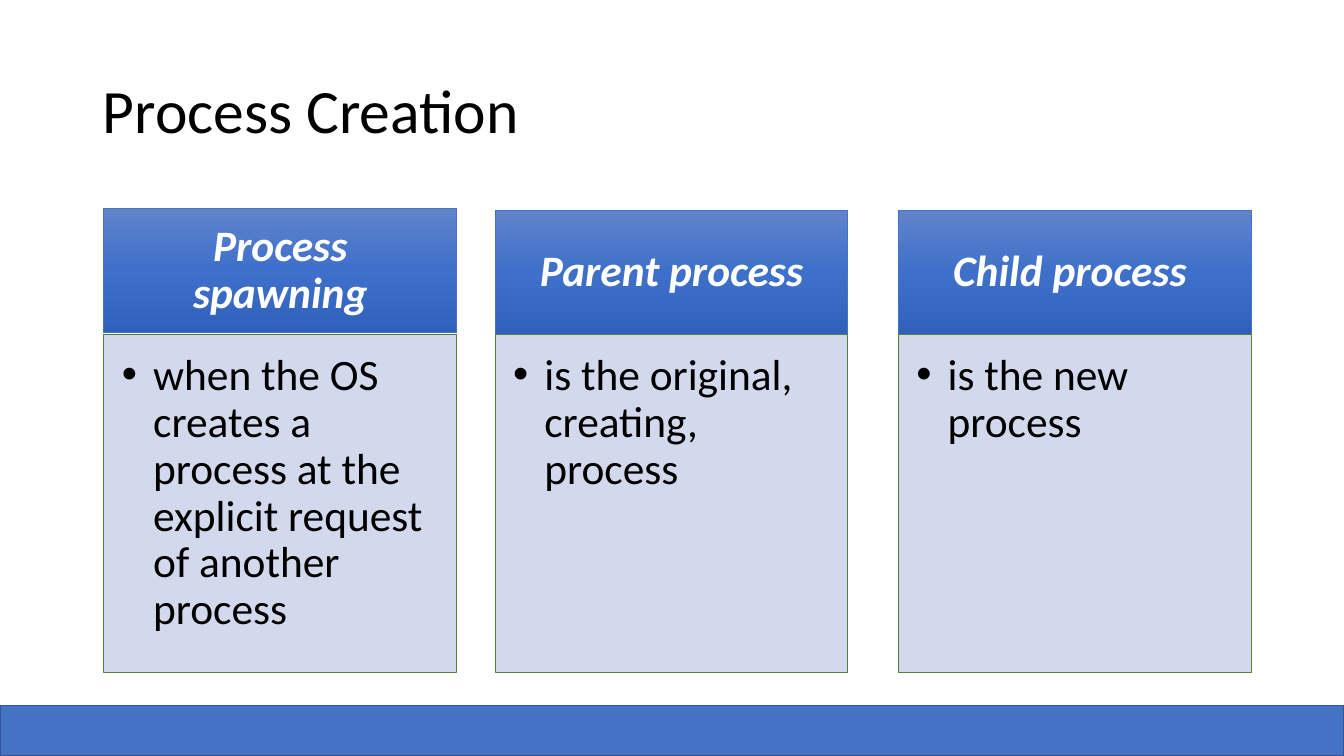
from lxml import etree
from pptx import Presentation
from pptx.dml.color import RGBColor
from pptx.enum.shapes import MSO_SHAPE
from pptx.enum.text import MSO_ANCHOR, MSO_AUTO_SIZE, PP_ALIGN
from pptx.oxml.ns import qn
from pptx.util import Inches, Pt

RECTANGLE = MSO_SHAPE.RECTANGLE
TOP, MIDDLE = MSO_ANCHOR.TOP, MSO_ANCHOR.MIDDLE
LEFT, CENTER = PP_ALIGN.LEFT, PP_ALIGN.CENTER
NO_AUTOFIT = MSO_AUTO_SIZE.NONE

TITLE = "Process Creation"
# left edge, heading top, heading, explanation
CARDS = [
    (1.03, 2.07, "Process spawning",
     "when the OS creates a process at the explicit request of another process"),
    (4.91, 2.09, "Parent process", "is the original, creating, process"),
    (8.91, 2.09, "Child process ", "is the new process"),
]

SLIDE_W, SLIDE_H = 13.33, 7.5
CARD_W, HEADING_H = 3.5, 1.23
BODY_TOP, BODY_H = 3.32, 3.35
FOOTER_H = 0.5
BULLET_INDENT = 0.31

THEME = {
    "font": "Calibri",
    "title_size": 44,
    "card_size": 31,
    "text": "000000",
    "heading_text": "FFFFFF",
    "heading_gradient": [(0, "6183CB"), (50, "3E70CA"), (100, "3062BB")],
    "heading_line": "4472C4",
    "body_fill": "CFD5EA",
    "body_opacity": 90,
    "body_line": "548235",
    "footer_fill": "4472C4",
    "footer_line": "325491",
}


def set_attributes(target, values):
    for name, value in values.items():
        setattr(target, name, value)


def add_box(slide, left, top, width, height, line_color, line_width):
    box = slide.shapes.add_shape(
        RECTANGLE, Inches(left), Inches(top), Inches(width), Inches(height))
    box.shadow.inherit = False
    box.line.color.rgb = RGBColor.from_string(line_color)
    box.line.width = Pt(line_width)
    return box


def fill_solid(box, color, opacity=100):
    box.fill.solid()
    box.fill.fore_color.rgb = RGBColor.from_string(color)
    if opacity < 100:
        color_xml = box.fill._xPr.find(qn("a:solidFill"))[0]
        etree.SubElement(color_xml, qn("a:alpha"), val=str(opacity * 1000))


def fill_gradient(box, stops):
    """Fill from top to bottom with (percent, color) stops."""
    box.fill.gradient()
    box.fill.gradient_angle = 270
    stop_list = box.fill._xPr.find(qn("a:gradFill")).find(qn("a:gsLst"))
    for old_stop in list(stop_list):
        stop_list.remove(old_stop)
    for percent, color in stops:
        stop = etree.SubElement(stop_list, qn("a:gs"), pos=str(percent * 1000))
        etree.SubElement(stop, qn("a:srgbClr"), val=color)


def write(shape, text, size, color, margins, anchor, align, emphasis=False):
    """Write one paragraph; margins run left, top, right, bottom in inches."""
    frame = shape.text_frame
    left, top, right, bottom = map(Inches, margins)
    set_attributes(frame, {
        "text": text, "word_wrap": True, "auto_size": NO_AUTOFIT,
        "vertical_anchor": anchor, "margin_left": left, "margin_top": top,
        "margin_right": right, "margin_bottom": bottom,
    })
    paragraph = frame.paragraphs[0]
    set_attributes(paragraph, {"alignment": align, "line_spacing": 0.9})
    font = paragraph.runs[0].font
    set_attributes(font, {
        "name": THEME["font"], "size": Pt(size),
        "bold": emphasis, "italic": emphasis,
    })
    font.color.rgb = RGBColor.from_string(color)
    return paragraph


def add_bullet(paragraph, indent):
    properties = paragraph._p.get_or_add_pPr()
    properties.set("marL", str(Inches(indent)))
    properties.set("indent", str(-Inches(indent)))
    etree.SubElement(properties, qn("a:buFont"), typeface="Arial")
    etree.SubElement(properties, qn("a:buChar"), char="•")


def add_card(slide, left, heading_top, heading, explanation):
    heading_box = add_box(slide, left, heading_top, CARD_W, HEADING_H,
                          THEME["heading_line"], 0.5)
    fill_gradient(heading_box, THEME["heading_gradient"])
    write(heading_box, heading, THEME["card_size"], THEME["heading_text"],
          (0.24, 0.14, 0.24, 0.14), MIDDLE, CENTER, emphasis=True)

    body_box = add_box(slide, left, BODY_TOP, CARD_W, BODY_H,
                       THEME["body_line"], 0.5)
    fill_solid(body_box, THEME["body_fill"], THEME["body_opacity"])
    bullet = write(body_box, explanation, THEME["card_size"], THEME["text"],
                   (0.18, 0.18, 0.24, 0.27), TOP, LEFT)
    add_bullet(bullet, BULLET_INDENT)


def main():
    deck = Presentation()
    set_attributes(deck, {"slide_width": Inches(SLIDE_W),
                          "slide_height": Inches(SLIDE_H)})
    slide = deck.slides.add_slide(deck.slide_layouts[5])

    title = slide.shapes.title
    set_attributes(title, {"left": Inches(0.92), "top": Inches(0.4),
                           "width": Inches(11.5), "height": Inches(1.45)})
    write(title, TITLE, THEME["title_size"], THEME["text"],
          (0.1, 0.05, 0.1, 0.05), MIDDLE, LEFT)

    for card in CARDS:
        add_card(slide, *card)

    footer = add_box(slide, 0, SLIDE_H - FOOTER_H, SLIDE_W, FOOTER_H,
                     THEME["footer_line"], 1)
    fill_solid(footer, THEME["footer_fill"])
    deck.save("out.pptx")


if __name__ == "__main__":
    main()
